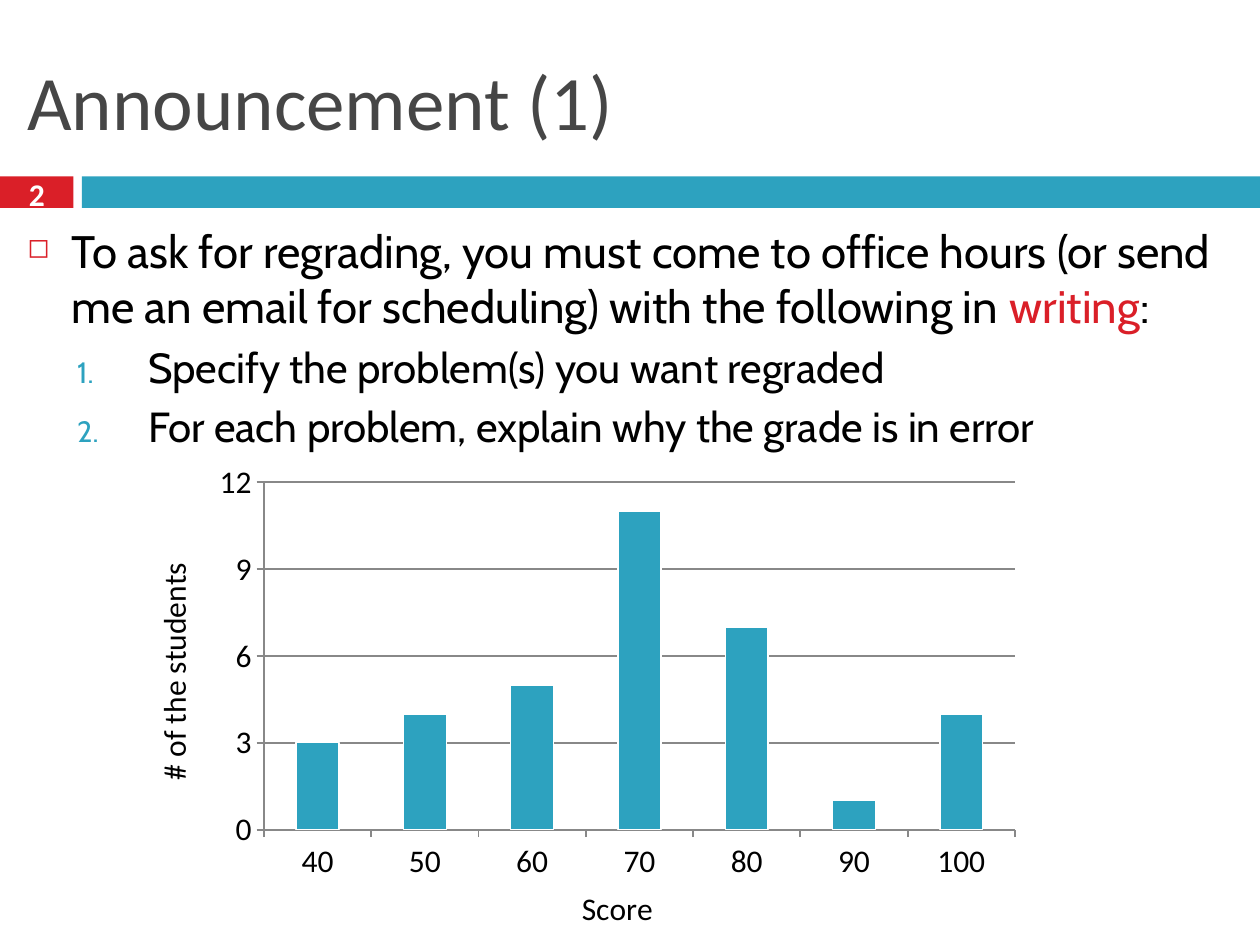
from dataclasses import dataclass

import pptx
import pptx.chart.data
import pptx.dml.color
import pptx.enum.chart
import pptx.enum.shapes
import pptx.enum.text
import pptx.oxml
import pptx.oxml.ns
import pptx.util

Pt = pptx.util.Pt
RED, TEAL, BLACK, WHITE, GREY = "DA1F28", "2DA2BF", "000000", "FFFFFF", "888888"


@dataclass
class Box:
    left: float
    top: float
    width: float
    height: float

    def lengths(self) -> tuple:
        return tuple(Pt(v) for v in (self.left, self.top, self.width, self.height))


@dataclass
class Band:
    box: Box
    fill: str


@dataclass
class Item:
    pieces: list
    size: float
    margin: float
    hanging: float
    before: float
    level: int
    bullet: str
    bullet_color: str
    bullet_percent: int


def rgb(color: str):
    return pptx.dml.color.RGBColor.from_string(color)


def element(tag: str, content: str):
    prefix = tag.split(":")[0].split()[0]
    return pptx.oxml.parse_xml(f"<{tag} {pptx.oxml.ns.nsdecls(prefix)}{content}")


def style(font, name: str, size: float, color: str, bold: bool = False) -> None:
    font.name, font.size, font.bold = name, Pt(size), bold
    font.color.rgb = rgb(color)


def add_band(slide, band: Band) -> None:
    bar = slide.shapes.add_shape(pptx.enum.shapes.MSO_SHAPE.RECTANGLE, *band.box.lengths())
    bar.shadow.inherit = False
    bar.fill.solid()
    bar.fill.fore_color.rgb = rgb(band.fill)
    bar.line.fill.background()


def add_frame(slide, box: Box, middle: bool = False, wrap: bool = True):
    frame = slide.shapes.add_textbox(*box.lengths()).text_frame
    frame.word_wrap = wrap
    frame.margin_left = frame.margin_right = frame.margin_top = frame.margin_bottom = Pt(3.6)
    anchors = pptx.enum.text.MSO_ANCHOR
    frame.vertical_anchor = anchors.MIDDLE if middle else anchors.TOP
    return frame


def add_line(slide, box: Box, text: str, size: float, color: str, **options) -> None:
    bold = options.pop("bold", False)
    frame = add_frame(slide, box, middle=True, **options)
    frame.text = text
    if not frame.word_wrap:
        frame.paragraphs[0].alignment = pptx.enum.text.PP_ALIGN.CENTER
    style(frame.paragraphs[0].runs[0].font, "Calibri", size, color, bold)


def fill_item(paragraph, item: Item) -> None:
    paragraph.level = item.level
    paragraph.space_before = Pt(item.before)
    for text, color in item.pieces:
        run = paragraph.add_run()
        run.text = text
        style(run.font, "Cabin", item.size, color)
    properties = paragraph._p.get_or_add_pPr()
    properties.set("marL", str(Pt(item.margin)))
    properties.set("indent", str(-Pt(item.hanging)))
    properties.append(element("a:buClr", f'><a:srgbClr val="{item.bullet_color}"/></a:buClr>'))
    properties.append(element("a:buSzPct", f' val="{item.bullet_percent * 1000}"/>'))
    if item.bullet:
        properties.append(element("a:buChar", f' char="{item.bullet}"/>'))
    else:
        properties.append(element("a:buAutoNum", ' type="arabicPeriod"/>'))


def style_axis(axis, title: str) -> None:
    axis.has_title = True
    axis.axis_title.text_frame.text = title
    style(axis.axis_title.text_frame.paragraphs[0].runs[0].font, "Calibri", 18, BLACK)
    style(axis.tick_labels.font, "Calibri", 18, BLACK)
    axis.major_tick_mark = pptx.enum.chart.XL_TICK_MARK.OUTSIDE
    axis.minor_tick_mark = pptx.enum.chart.XL_TICK_MARK.NONE
    axis.format.line.color.rgb = rgb(GREY)
    axis.format.line.width = Pt(1)


def place_plot(chart, **fractions: float) -> None:
    area = chart._chartSpace.chart.plotArea
    for layout in area.findall(pptx.oxml.ns.qn("c:layout")):
        area.remove(layout)
    places = "".join(f'<c:{key} val="{value}"/>' for key, value in fractions.items())
    area.insert(0, element("c:layout", '><c:manualLayout><c:layoutTarget val="inner"/>'
                           '<c:xMode val="edge"/><c:yMode val="edge"/>'
                           f'{places}</c:manualLayout></c:layout>'))


def add_scores(slide, box: Box, scores: list, counts: list) -> None:
    data = pptx.chart.data.CategoryChartData()
    data.categories = scores
    data.add_series("Series 1", counts)
    kind = pptx.enum.chart.XL_CHART_TYPE.COLUMN_CLUSTERED
    chart = slide.shapes.add_chart(kind, *box.lengths(), data).chart
    chart.has_legend = chart.has_title = False
    style(chart.font, "Calibri", 10, BLACK)
    style_axis(chart.category_axis, "Score")
    style_axis(chart.value_axis, "# of the students")
    chart.value_axis.minimum_scale, chart.value_axis.maximum_scale = 0, 12
    chart.value_axis.major_unit = 3
    chart.value_axis.has_major_gridlines = True
    grid = chart.value_axis.major_gridlines.format.line
    grid.color.rgb, grid.width = rgb(GREY), Pt(1)
    plot = chart.plots[0]
    plot.vary_by_categories, plot.gap_width = False, 150
    students = plot.series[0].format
    students.fill.solid()
    students.fill.fore_color.rgb = rgb(TEAL)
    students.line.color.rgb, students.line.width = rgb(WHITE), Pt(0.79)
    place_plot(chart, x=0.135, y=0.068, w=0.86, h=0.711)


def main() -> None:
    """Build the regrading announcement slide with its score chart."""
    deck = pptx.Presentation()
    deck.slide_width, deck.slide_height = Pt(720), Pt(540)
    slide = deck.slides.add_slide(deck.slide_layouts[6])
    for band in (Band(Box(0, 100.8, 42, 18), RED), Band(Box(46.8, 100.8, 673.2, 18), TEAL)):
        add_band(slide, band)
    add_line(slide, Box(12, 18, 696, 78), "Announcement (1)", 44, "464646")
    add_line(slide, Box(12, 98, 18, 26), "2", 18, WHITE, bold=True, wrap=False)

    request = [("To ask for regrading, you must come to office hours (or send me an email "
                "for scheduling) with the following in ", BLACK), ("writing", RED), (":", BLACK)]
    steps = ["Specify the problem(s) you want regraded",
             "For each problem, explain why the grade is in error"]
    items = [Item(request, 26, 25.2, 25.2, 7, 0, "◻", RED, 60)]
    items += [Item([(step, BLACK)], 24, 69, 40.5, 5, 1, "", TEAL, 70) for step in steps]
    body = add_frame(slide, Box(12, 124, 696, 402))
    for index, item in enumerate(items):
        fill_item(body.add_paragraph() if index else body.paragraphs[0], item)

    scores = [str(score) for score in range(40, 101, 10)]
    add_scores(slide, Box(83.5, 256.5, 499, 279.5), scores, [3, 4, 5, 11, 7, 1, 4])
    deck.save("out.pptx")


if __name__ == "__main__":
    main()
